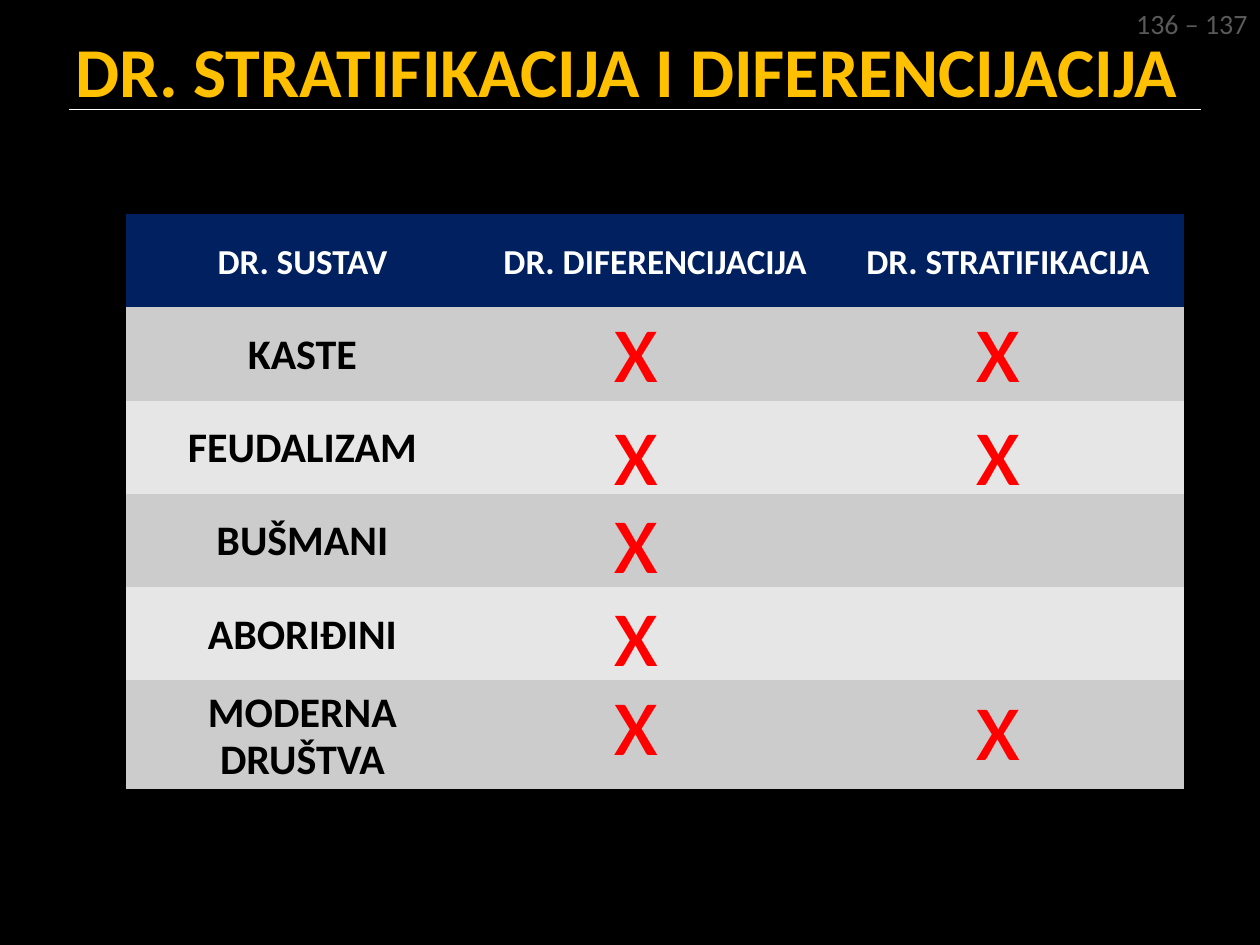
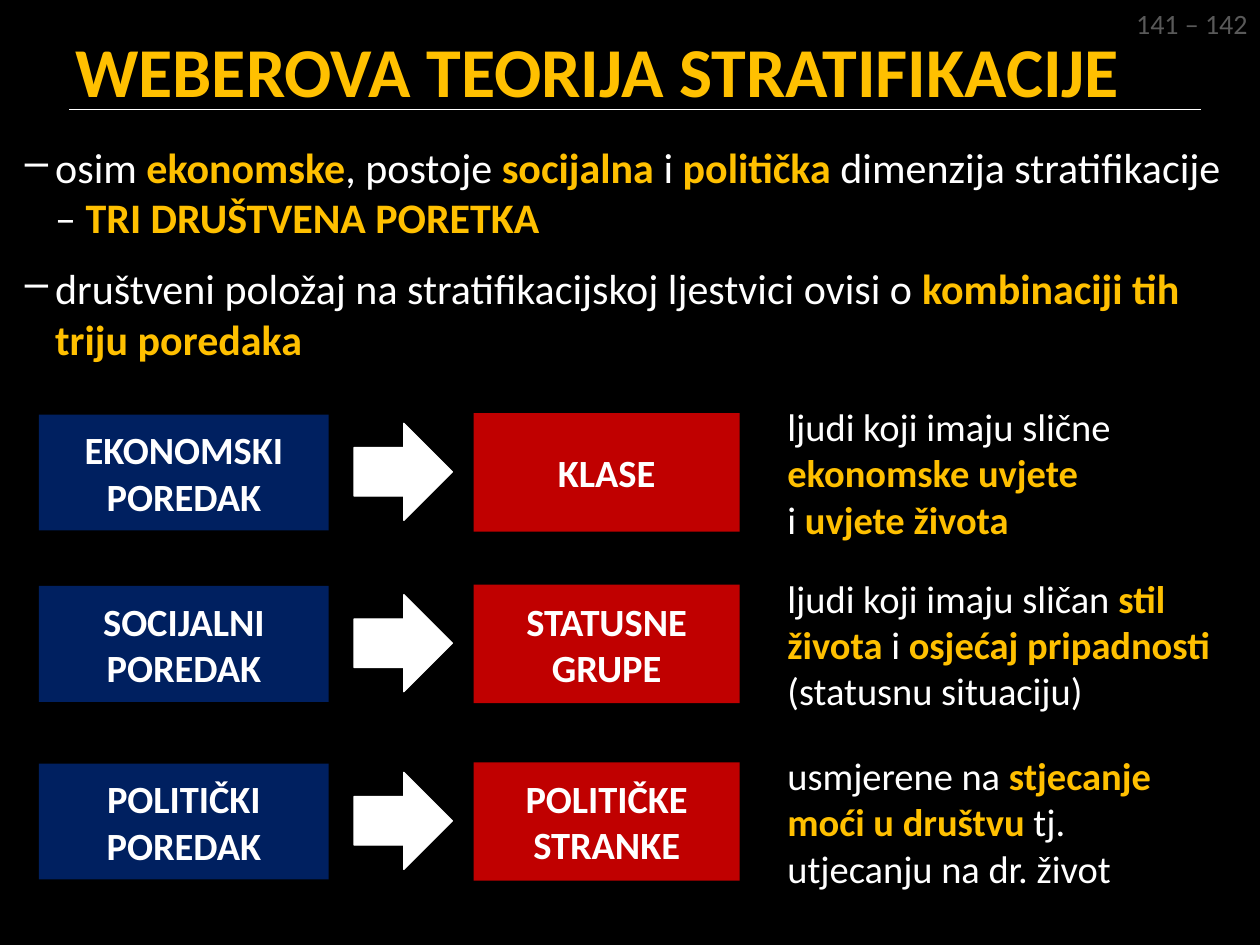
from lxml import etree
from pptx import Presentation
from pptx.dml.color import RGBColor
from pptx.enum.shapes import MSO_CONNECTOR, MSO_SHAPE
from pptx.enum.text import MSO_ANCHOR, PP_ALIGN
from pptx.oxml.ns import qn
from pptx.util import Inches, Pt

# Shared style
FONT = "Calibri"
BLACK, WHITE, GOLD = "000000", "FFFFFF", "FFC000"
NAVY, CRIMSON, RED, GREY = "002060", "C00000", "FF0000", "595959"
ROW_FILLS = ("CCCCCC", "E6E6E6")

LEFT, CENTER, RIGHT = PP_ALIGN.LEFT, PP_ALIGN.CENTER, PP_ALIGN.RIGHT
TOP, MIDDLE = MSO_ANCHOR.TOP, MSO_ANCHOR.MIDDLE
RECTANGLE, ARROW = MSO_SHAPE.RECTANGLE, MSO_SHAPE.RIGHT_ARROW
STRAIGHT = MSO_CONNECTOR.STRAIGHT

# Content of the table slide: system, then tops of the two marks
HEADERS = ("DR. SUSTAV", "DR. DIFERENCIJACIJA", "DR. STRATIFIKACIJA")
SYSTEMS = (
    ("KASTE", 2.15, 2.15),
    ("FEUDALIZAM", 2.97, 2.97),
    ("BUŠMANI", 3.67, None),
    ("ABORIĐINI", 4.41, None),
    ("MODERNA DRUŠTVA", 5.11, 5.15),
)
MARK_LEFTS = (4.77, 7.64)

# Content of the theory slide; asterisks enclose highlighted words
POINTS = (
    "osim *ekonomske*, postoje *socijalna* i *politička *dimenzija "
    "stratifikacije – *TRI DRUŠTVENA PORETKA*",
    "društveni položaj na stratifikacijskoj ljestvici ovisi o "
    "*kombinaciji tih triju poredaka*",
)
ORDERS = (
    (3.28, "EKONOMSKI POREDAK", "KLASE",
     ("ljudi koji imaju slične", "*ekonomske uvjete*", "i *uvjete života*")),
    (4.64, "SOCIJALNI POREDAK", "STATUSNE GRUPE",
     ("ljudi koji imaju sličan *stil*", "*života *i *osjećaj pripadnosti*",
      "(statusnu situaciju)")),
    (6.05, "POLITIČKI POREDAK", "POLITIČKE STRANKE",
     ("usmjerene na *stjecanje*", "*moći u društvu *tj.",
      "utjecanju na dr. život")),
)


def color(hex_value):
    return RGBColor.from_string(hex_value)


def fill_solid(target, hex_value):
    target.fill.solid()
    target.fill.fore_color.rgb = color(hex_value)


def add_runs(paragraph, text, size, hex_value, bold=False):
    """Write the text, with parts between asterisks in bold gold."""
    for index, part in enumerate(text.split("*")):
        if not part:
            continue
        highlighted = index % 2 == 1
        run = paragraph.add_run()
        run.text = part
        run.font.name = FONT
        run.font.size = Pt(size)
        run.font.bold = bold or highlighted
        run.font.color.rgb = color(GOLD if highlighted else hex_value)


def write_text(frame, lines, size, hex_value, bold=False, align=LEFT,
               anchor=TOP, inset=(0.1, 0.05)):
    frame.word_wrap = True
    frame.vertical_anchor = anchor
    frame.margin_left = frame.margin_right = Inches(inset[0])
    frame.margin_top = frame.margin_bottom = Inches(inset[1])
    for index, line in enumerate(lines):
        paragraph = frame.add_paragraph() if index else frame.paragraphs[0]
        paragraph.alignment = align
        add_runs(paragraph, line, size, hex_value, bold)


def add_text(slide, box, lines, size, hex_value, **style):
    text_box = slide.shapes.add_textbox(*map(Inches, box))
    write_text(text_box.text_frame, lines, size, hex_value, **style)
    return text_box.text_frame


def add_block(slide, kind, box, hex_value, label=None):
    shape = slide.shapes.add_shape(kind, *map(Inches, box))
    shape.shadow.inherit = False
    fill_solid(shape, hex_value)
    shape.line.fill.background()
    if label:
        write_text(shape.text_frame, [label], 22, WHITE, bold=True,
                   align=CENTER, anchor=MIDDLE)
    return shape


def add_dash_bullet(paragraph):
    properties = paragraph._p.get_or_add_pPr()
    properties.set("marL", str(Inches(0.24)))
    properties.set("indent", str(-Inches(0.24)))
    bullet_color = etree.SubElement(properties, qn("a:buClr"))
    etree.SubElement(bullet_color, qn("a:srgbClr"), val=WHITE)
    etree.SubElement(properties, qn("a:buChar"), char="–")


def add_hairlines(cell):
    properties = cell._tc.get_or_add_tcPr()
    for position, side in enumerate(("lnL", "lnR", "lnT", "lnB")):
        line = etree.Element(qn(f"a:{side}"), w=str(Pt(0.03)))
        solid = etree.SubElement(line, qn("a:solidFill"))
        etree.SubElement(solid, qn("a:srgbClr"), val=WHITE)
        properties.insert(position, line)


def add_base_slide(presentation, title, pages):
    """Black slide with underlined title and page reference."""
    slide = presentation.slides.add_slide(presentation.slide_layouts[6])
    fill_solid(slide.background, BLACK)
    rule = slide.shapes.add_connector(
        STRAIGHT, Inches(0.55), Inches(0.87), Inches(9.53), Inches(0.87))
    rule.line.color.rgb = color(WHITE)
    rule.line.width = Pt(1)
    etree.SubElement(rule._element.spPr, qn("a:effectLst"))
    add_text(slide, (0.5, 0.08, 9.5, 0.95), [title], 40, GOLD,
             bold=True, anchor=MIDDLE)
    add_text(slide, (8.9, 0, 1.1, 0.37), [pages], 16, GREY, align=RIGHT)
    return slide


def fill_cell(cell, text, size, text_color, background):
    fill_solid(cell, background)
    add_hairlines(cell)
    cell.vertical_anchor = MIDDLE
    cell.margin_left = cell.margin_right = Inches(0.1)
    cell.margin_top, cell.margin_bottom = Inches(0.07), Inches(0.05)
    if text:
        paragraph = cell.text_frame.paragraphs[0]
        paragraph.alignment = CENTER
        paragraph.line_spacing = 0.93
        add_runs(paragraph, text, size, text_color, bold=True)


def add_systems_table(slide):
    row_count = len(SYSTEMS) + 1
    table = slide.shapes.add_table(
        row_count, len(HEADERS), Inches(1), Inches(1.7),
        Inches(8.4), Inches(0.74 * row_count)).table
    for column, header in enumerate(HEADERS):
        fill_cell(table.cell(0, column), header, 20, WHITE, NAVY)
    for row, (system, *_) in enumerate(SYSTEMS, start=1):
        background = ROW_FILLS[(row - 1) % 2]
        for column in range(len(HEADERS)):
            text = system if column == 0 else None
            fill_cell(table.cell(row, column), text, 24, BLACK, background)


def add_marks(slide):
    for _, *tops in SYSTEMS:
        for left, top in zip(MARK_LEFTS, tops):
            if top is not None:
                add_text(slide, (left, top, 0.48, 1.1), ["x"], 60, RED,
                         align=CENTER)


def add_points(slide):
    frame = add_text(slide, (0.1, 1.07, 9.74, 6.09), POINTS, 24, WHITE)
    for index, paragraph in enumerate(frame.paragraphs):
        if index:
            paragraph.space_before = Pt(12)
        add_dash_bullet(paragraph)


def add_order(slide, top, order, group, description):
    """One row: order, arrow, resulting group and its description."""
    add_block(slide, RECTANGLE, (0.31, top + 0.01, 2.3, 0.92), NAVY, order)
    add_block(slide, RECTANGLE, (3.76, top, 2.11, 0.94), CRIMSON, group)
    add_text(slide, (6.25, top - 0.06, 3.43, 1.06), description, 22, WHITE,
             anchor=MIDDLE, inset=(0, 0))
    arrow = add_block(slide, ARROW, (2.81, top + 0.08, 0.78, 0.77), WHITE)
    arrow.line.color.rgb = color(WHITE)
    arrow.line.width = Pt(0.75)


def main():
    presentation = Presentation()
    presentation.slide_width = Inches(10)
    presentation.slide_height = Inches(7.5)

    # Stratification and differentiation
    slide = add_base_slide(
        presentation, "DR. STRATIFIKACIJA I DIFERENCIJACIJA", "136 – 137")
    add_systems_table(slide)
    add_marks(slide)

    # Weber's theory
    slide = add_base_slide(
        presentation, "WEBEROVA TEORIJA STRATIFIKACIJE", "141 – 142")
    add_points(slide)
    for row in ORDERS:
        add_order(slide, *row)

    presentation.save("out.pptx")


if __name__ == "__main__":
    main()
